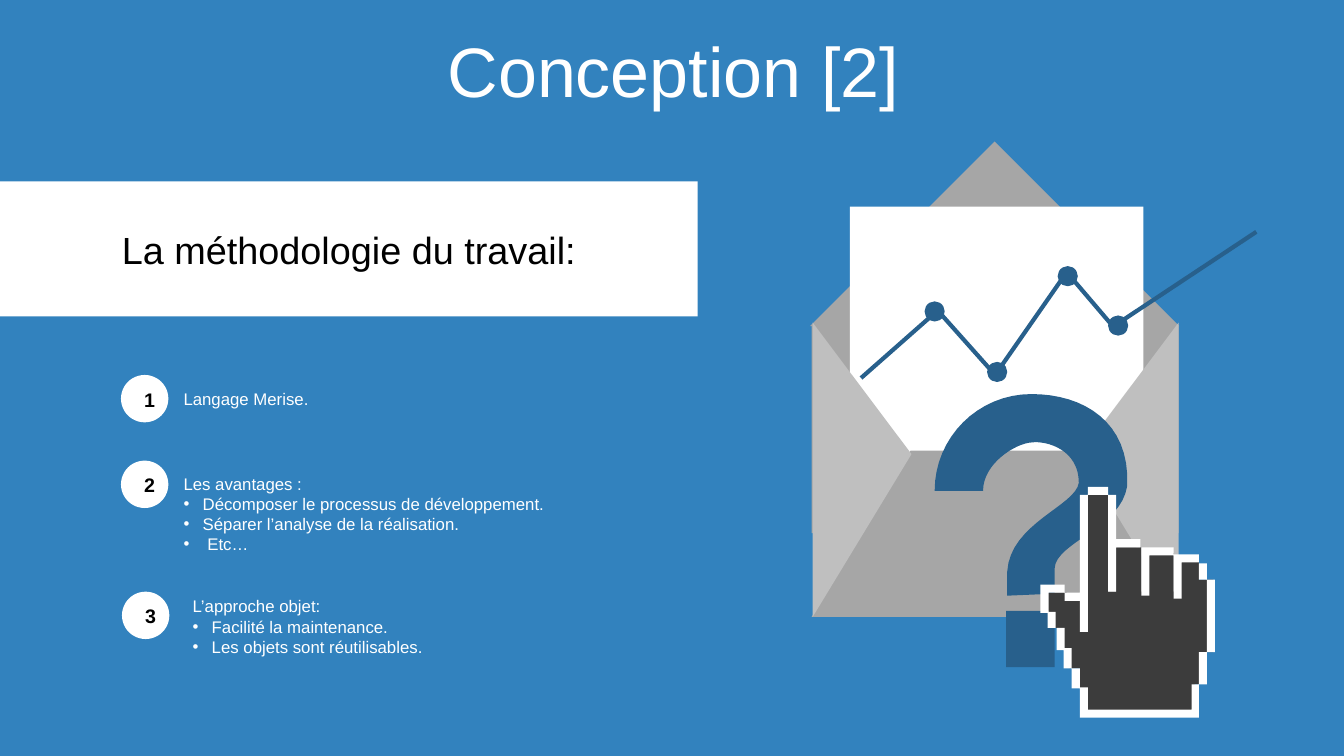
from lxml import etree
from pptx import Presentation
from pptx.dml.color import RGBColor
from pptx.enum.shapes import MSO_SHAPE
from pptx.enum.text import MSO_ANCHOR, MSO_AUTO_SIZE, PP_ALIGN
from pptx.oxml.ns import qn
from pptx.util import Inches, Pt

RECTANGLE = MSO_SHAPE.RECTANGLE
ELLIPSE = MSO_SHAPE.OVAL
TRIANGLE = MSO_SHAPE.ISOSCELES_TRIANGLE
RIGHT_TRIANGLE = MSO_SHAPE.RIGHT_TRIANGLE
TRAPEZOID = MSO_SHAPE.TRAPEZOID
MIDDLE = MSO_ANCHOR.MIDDLE
NO_AUTOFIT = MSO_AUTO_SIZE.NONE
CENTER = PP_ALIGN.CENTER
LEFT = PP_ALIGN.LEFT

COLUMNS, ROWS = 133.3, 75
BLUE, NAVY, WHITE, BLACK = "3282BE", "28608C", "FFFFFF", "000000"
GREY, LIGHT_GREY, CHARCOAL = "A6A6A6", "BFBFBF", "3C3C3C"


def color(code):
    return RGBColor.from_string(code)


def grid(*cells):
    return [Inches(cell / 10) for cell in cells]


def staircase(x, y, *turns):
    points = [(x, y)]
    for index, turn in enumerate(turns):
        if index % 2:
            y = turn
        else:
            x = turn
        points.append((x, y))
    return points


def curve(start, first, second, end, steps=16):
    points = []
    for step in range(1, steps + 1):
        t = step / steps
        weights = ((1 - t) ** 3, 3 * t * (1 - t) ** 2, 3 * t * t * (1 - t), t ** 3)
        points.append(tuple(
            sum(weight * value for weight, value in zip(weights, axis))
            for axis in zip(start, first, second, end)))
    return points


def write(frame, lines, size, ink=WHITE, align=LEFT, bold=False,
          spacing=1.0, before=0, inset=1, pad=0.5):
    frame.word_wrap = True
    frame.auto_size = NO_AUTOFIT
    frame.vertical_anchor = MIDDLE
    frame.margin_left, frame.margin_right = grid(inset, inset)
    frame.margin_top, frame.margin_bottom = grid(pad, pad)
    for index, line in enumerate(lines):
        para = frame.add_paragraph() if index else frame.paragraphs[0]
        para.alignment = align
        para.line_spacing = spacing
        para.space_before = Pt(before)
        properties = para._p.get_or_add_pPr()
        indent = Inches(0.19) if index else 0
        properties.set("marL", str(indent))
        properties.set("indent", str(-indent))
        if index:
            etree.SubElement(properties, qn("a:buChar")).set("char", "•")
        else:
            etree.SubElement(properties, qn("a:buNone"))
        span = para.add_run()
        span.text = line
        span.font.name = "Arial"
        span.font.size = Pt(size)
        span.font.bold = bold
        span.font.color.rgb = color(ink)


class SlideBuilder:
    def __init__(self, deck, layout, background):
        self.page = deck.slides.add_slide(deck.slide_layouts[layout])
        self.page.background.fill.solid()
        self.page.background.fill.fore_color.rgb = color(background)
        self.holders = {holder.placeholder_format.idx: holder
                        for holder in self.page.placeholders}

    def placeholder(self, idx, place, lines, size, **style):
        box = self.holders.pop(idx)
        box.left, box.top, box.width, box.height = grid(*place)
        write(box.text_frame, lines, size, **style)

    def drop_unused(self):
        for holder in self.holders.values():
            holder.element.getparent().remove(holder.element)

    def paint(self, box, fill):
        box.shadow.inherit = False
        box.fill.solid()
        box.fill.fore_color.rgb = color(fill)
        box.line.fill.background()

    def shape(self, kind, place, fill, turn=0, adjust=None):
        box = self.page.shapes.add_shape(kind, *grid(*place))
        self.paint(box, fill)
        box.rotation = turn
        if adjust is not None:
            box.adjustments[0] = adjust
        return box

    def label(self, place, text, size, **style):
        box = self.page.shapes.add_textbox(*grid(*place))
        write(box.text_frame, [text], size, **style)

    def outline(self, contours, close):
        builder = None
        for contour in contours:
            start, *rest = [grid(*point) for point in contour]
            if builder is None:
                builder = self.page.shapes.build_freeform(*start)
            else:
                builder.move_to(*start)
            builder.add_line_segments(rest, close=close)
        return builder.convert_to_shape()

    def area(self, contours, fill):
        self.paint(self.outline(contours, True), fill)

    def polyline(self, points, ink, width):
        line = self.outline([points], False)
        line.shadow.inherit = False
        line.fill.background()
        line.line.color.rgb = color(ink)
        line.line.width = Pt(width)


def draw_envelope(slide):
    slide.shape(RECTANGLE, (80.5, 32.3, 36.4, 20.6), GREY)
    slide.shape(RIGHT_TRIANGLE, (85.7, 19.4, 25.9, 25.9), GREY, turn=135)
    slide.shape(RECTANGLE, (84.3, 20.5, 29.1, 40.1), WHITE)
    slide.shape(TRAPEZOID, (80.5, 44.7, 36.6, 16.5), GREY, adjust=0.595)
    for left, turn, tip in ((70.9, 90, 0.447), (97.4, 270, 0.553)):
        slide.shape(TRIANGLE, (left, 41.7, 29.2, 9.8), LIGHT_GREY, turn=turn, adjust=tip)


def draw_trend(slide):
    slide.polyline([(85.4, 37.5), (93, 30.8), (98.7, 37.2), (105.8, 27),
                    (110.4, 32.4), (124.6, 23)], NAVY, 3)
    for left, top in ((91.7, 29.9), (97.9, 35.9), (104.9, 26.4), (109.9, 31.3)):
        slide.shape(ELLIPSE, (left, top, 2, 2), NAVY)


def draw_question_mark(slide):
    top = (102.3, 39.1)
    hook = [top]
    hook += curve(top, (107.4, 39.1), (112.1, 41.8), (111.8, 48.2))
    hook += curve((111.8, 48.2), (111.2, 52.4), (104.7, 53.8), (104.6, 56.4))
    hook += [(104.6, 58.9), (99.9, 59.1)]
    hook += curve((99.9, 59.1), (99.9, 58.3), (99.9, 57.5), (99.9, 56.7))
    hook += curve((99.9, 56.7), (100.2, 51.9), (106.7, 50.2), (107, 47.9))
    hook += curve((107, 47.9), (107, 44.6), (103.8, 43.7), (102.3, 43.9))
    hook += curve((102.3, 43.9), (100.7, 44), (97.5, 46), (97.5, 48.7))
    hook += [(92.7, 48.7)]
    hook += curve((92.7, 48.7), (92.7, 43.4), (97, 39.1), top)
    slide.area([hook], NAVY)
    slide.shape(RECTANGLE, (99.8, 60.6, 4.8, 5.6), NAVY)


def draw_hand(slide):
    slide.area([staircase(
        107.9, 49.1, 109.9, 58.7, 110.7, 54.3, 113.2, 58.7, 113.9, 54.9, 116.4, 58.7,
        116.5, 55.7, 118.9, 57.5, 120.3, 64.7, 118.9, 67.9, 118.5, 70.6, 107.6, 68.3,
        107.1, 66.3, 106.1, 64.3, 105.1, 62.3, 104.3, 60.8, 103.3, 58.8, 105.8, 59,
        106.8, 59.1, 107.6, 58.7, 107.9)], CHARCOAL)
    slide.area([
        staircase(118.9, 64.7, 119.7, 67.9, 118.9, 71.2, 107.1, 68.2, 107.9, 70.4,
                  118.2, 67.9, 118.9),
        staircase(104.8, 62.3, 105.6, 64.3, 106.3, 66.3, 107.1, 68.3, 106.3, 66.3,
                  105.5, 64.5, 104.8),
        staircase(119.7, 57.5, 120.5, 64.7, 119.7),
        staircase(118.9, 55.9, 119.7, 57.5, 118.9),
        staircase(113.2, 54.3, 116.4, 55, 118.9, 55.8, 117.2, 59.4, 116.4, 55.1,
                  114, 59.1, 113.2),
        staircase(109.9, 49.1, 110.7, 53.5, 113.1, 54.3, 110.7, 58.7, 109.9),
        staircase(107.1, 49.1, 107.9, 62.7, 107.1, 59.6, 105.6, 58.8, 104, 60.7,
                  104.7, 62.3, 103.9, 60.8, 103.2, 58, 105.6, 58.8, 107.1),
        staircase(107.9, 48.3, 109.9, 49.1, 107.9),
    ], WHITE)


def main():
    deck = Presentation()
    deck.slide_width, deck.slide_height = grid(COLUMNS, ROWS)
    slide = SlideBuilder(deck, 4, BLUE)
    slide.placeholder(0, (3.5, 3.7, 126.6, 7.9), ["Conception [2]"], 50,
                      align=CENTER, spacing=0.8, before=10)
    draw_envelope(slide)
    draw_trend(slide)
    draw_question_mark(slide)
    draw_hand(slide)
    banner = slide.shape(RECTANGLE, (0, 18, 69.2, 13.4), WHITE)
    write(banner.text_frame, ["La méthodologie du travail:"], 27, ink=BLACK, align=CENTER)
    steps = (
        (1, 12, 37.2, (17.2, 38.1, 48.9, 3), ["Langage Merise."]),
        (2, 12, 45.7, (17.2, 46.4, 48.9, 9.1),
         ["Les avantages :", "Décomposer le processus de développement.",
          "Séparer l’analyse de la réalisation.", " Etc…"]),
        (4, 12.1, 58.7, (18.1, 58.6, 48.9, 7.1),
         ["L’approche objet:", "Facilité la maintenance.",
          "Les objets sont réutilisables."]),
    )
    for number, (idx, left, top, place, lines) in enumerate(steps, 1):
        slide.shape(ELLIPSE, (left, top, 4.7, 4.7), WHITE)
        slide.label((left + 1.3, top + 1.2, 2.2, 2.4), str(number), 14,
                    ink=BLACK, align=CENTER, bold=True, pad=0)
        slide.placeholder(idx, place, lines, 12)
    slide.drop_unused()
    deck.save("out.pptx")


if __name__ == "__main__":
    main()
